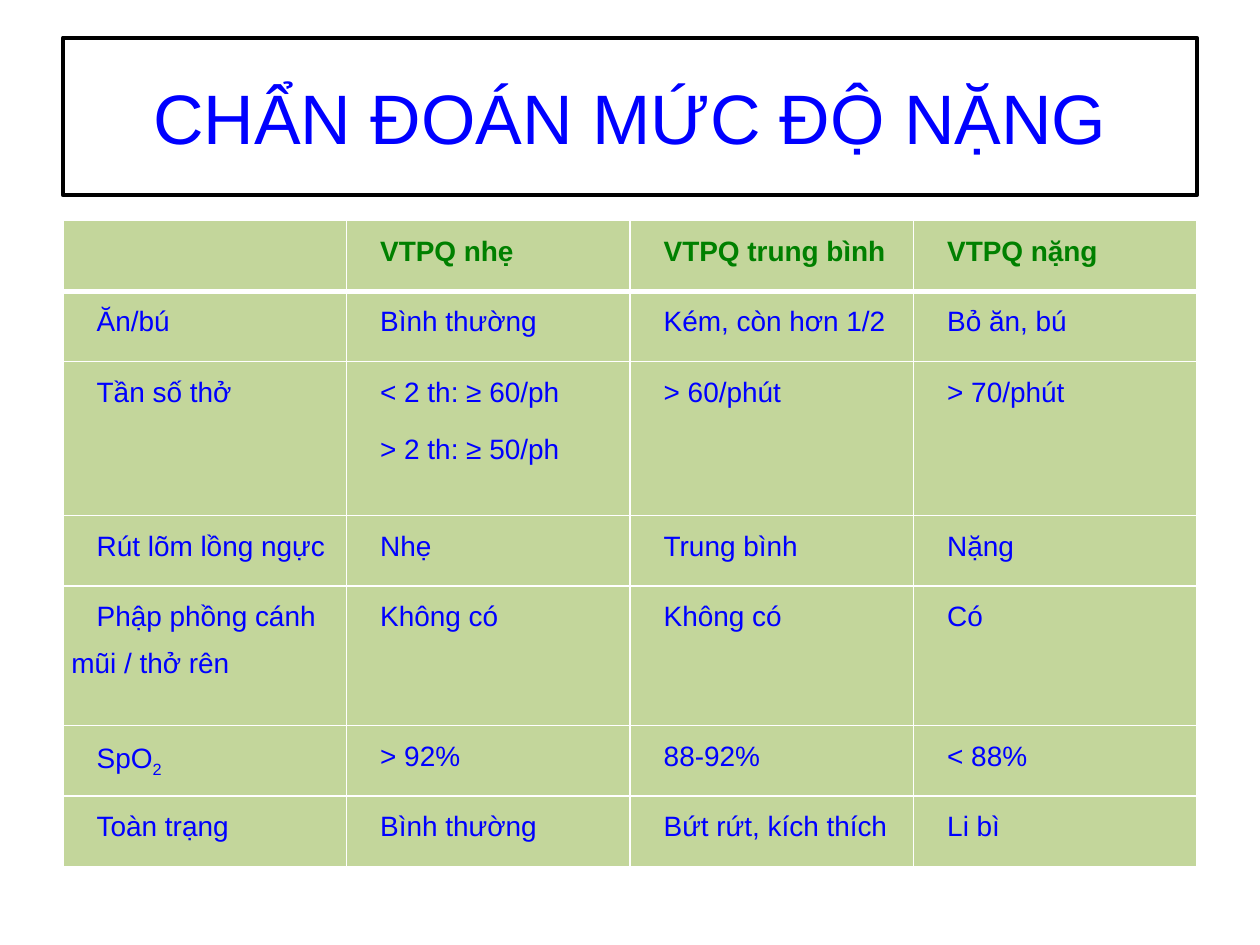
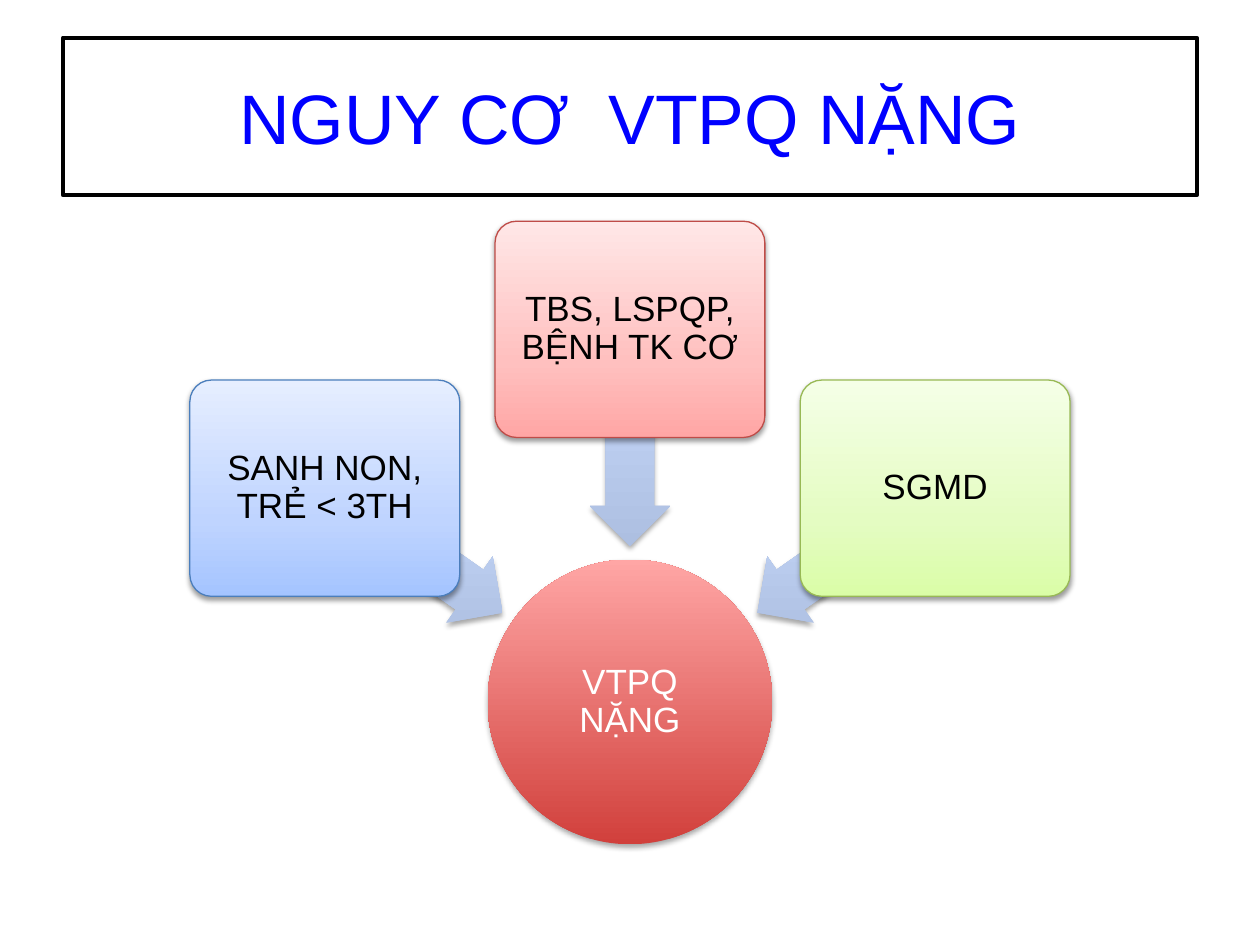
import math
from dataclasses import dataclass

import pptx
import pptx.util
import pptx.dml.color
import pptx.enum.shapes
import pptx.enum.text
import pptx.oxml
import pptx.oxml.ns
from pptx.util import Cm

SEVERITY_TITLE = "CHẨN ĐOÁN MỨC ĐỘ NẶNG"
SEVERITY_ROWS = [
    (1.42, ["", "VTPQ nhẹ", "VTPQ trung bình", "VTPQ nặng"]),
    (1.42, ["Ăn/bú", "Bình thường", "Kém, còn hơn 1/2", "Bỏ ăn, bú"]),
    (3.1, ["Tần số thở", "< 2 th: ≥ 60/ph\n> 2 th: ≥ 50/ph", "> 60/phút", "> 70/phút"]),
    (1.42, ["Rút lõm lồng ngực", "Nhẹ", "Trung bình", "Nặng"]),
    (2.82, ["Phập phồng cánh mũi / thở rên", "Không có", "Không có", "Có"]),
    (1.42, ["SpO_2", "> 92%", "88-92%", "< 88%"]),
    (1.42, ["Toàn trạng", "Bình thường", "Bứt rứt, kích thích", "Li bì"]),
]

RISK_TITLE = "NGUY CƠ  VTPQ NẶNG"
RISK_OUTCOME = "VTPQ NẶNG"
RISK_FACTORS = [
    ("SANH NON, TRẺ < 3TH", 215, "blue"),
    ("TBS, LSPQP, BỆNH TK CƠ", 270, "red"),
    ("SGMD", 325, "green"),
]


@dataclass(frozen=True)
class Theme:
    font: str = "Arial"
    title_size: int = 40
    table_size: int = 16
    diagram_size: int = 20
    black: str = "000000"
    white: str = "FFFFFF"
    blue: str = "0000FF"
    header: str = "008000"
    cell: str = "C3D69B"
    outcome: tuple = ((0, "D1403C"), (100, "FFA6A5"))
    arrow: tuple = ((0, "ADBFE1"), (100, "CCDDFF"))


THEME = Theme()
CARD_STYLES = {
    "blue": ("4B7EBC", ((0, "A4C4FF"), (35, "BFD4FF"), (100, "E6EEFF"))),
    "red": ("BF4C48", ((0, "FFA6A5"), (35, "FFC0BF"), (100, "FFE7E7"))),
    "green": ("98B955", ((0, "DAFDA7"), (35, "E4FCC2"), (100, "F5FFE7"))),
}

SHAPES = pptx.enum.shapes.MSO_SHAPE
MARGIN, CONTENT_TOP, CONTENT_WIDTH = 1.27, 4.45, 22.86
CENTER_X, CENTER_Y = 12.7, 14.15
CIRCLE_SIZE = (5.74, 5.74)
CARD_SIZE, CARD_RADIUS = (5.44, 4.36), 7.51
ARROW_SIZE, ARROW_RADIUS = (4.39, 1.63), 5.33


def rgb(value):
    return pptx.dml.color.RGBColor.from_string(value)


def apply_format(target, values):
    for name, value in values.items():
        setattr(target, name, value)


def add_run(paragraph, text, size, color, bold=False):
    run = paragraph.add_run()
    run.text = text
    apply_format(run.font, {"name": THEME.font, "size": pptx.util.Pt(size), "bold": bold})
    run.font.color.rgb = rgb(color)
    return run


def add_centred_text(shape, text, size, color, margin, spacing):
    frame = shape.text_frame
    sides = ("left", "top", "right", "bottom")
    apply_format(frame, {f"margin_{side}": Cm(margin) for side in sides})
    apply_format(frame, {"word_wrap": True, "vertical_anchor": pptx.enum.text.MSO_ANCHOR.MIDDLE})
    paragraph = frame.paragraphs[0]
    apply_format(paragraph, {"alignment": pptx.enum.text.PP_ALIGN.CENTER, "line_spacing": spacing})
    add_run(paragraph, text, size, color)


def set_line(shape, color, width):
    shape.line.color.rgb = rgb(color)
    shape.line.width = pptx.util.Pt(width)


def add_titled_slide(presentation, title):
    slide = presentation.slides.add_slide(presentation.slide_layouts[6])
    shape = slide.shapes.add_shape(
        SHAPES.RECTANGLE, Cm(MARGIN), Cm(0.76), Cm(CONTENT_WIDTH), Cm(3.18))
    shape.shadow.inherit = False
    shape.fill.background()
    set_line(shape, THEME.black, 2.25)
    add_centred_text(shape, title, THEME.title_size, THEME.blue, 0.25, 1.0)
    return slide


def set_borders(cell, widths):
    properties = cell._tc.get_or_add_tcPr()
    for position, (side, width) in enumerate(widths.items()):
        properties.insert(position, pptx.oxml.parse_xml(
            f'<a:ln{side} {pptx.oxml.ns.nsdecls("a")} w="{pptx.util.Pt(width)}">'
            f'<a:solidFill><a:srgbClr val="{THEME.white}"/></a:solidFill></a:ln{side}>'))


def fill_cell(cell, text, color, bold):
    apply_format(cell, {"margin_left": Cm(0.17), "margin_right": Cm(0.17),
                        "margin_top": 0, "margin_bottom": 0})
    cell.fill.solid()
    cell.fill.fore_color.rgb = rgb(THEME.cell)
    for number, line in enumerate(text.split("\n") if text else []):
        paragraph = cell.text_frame.add_paragraph() if number else cell.text_frame.paragraphs[0]
        paragraph.line_spacing = 1.5
        if number:
            paragraph.space_before = pptx.util.Pt(6)
        paragraph._p.get_or_add_pPr().set("indent", str(Cm(0.51)))
        base, _, subscript = line.partition("_")
        add_run(paragraph, base, THEME.table_size, color, bold)
        if subscript:
            run = add_run(paragraph, subscript, THEME.table_size, color, bold)
            run._r.get_or_add_rPr().set("baseline", "-25000")


def add_severity_table(slide):
    columns = len(SEVERITY_ROWS[0][1])
    height = sum(row_height for row_height, _ in SEVERITY_ROWS)
    table = slide.shapes.add_table(
        len(SEVERITY_ROWS), columns, Cm(MARGIN), Cm(CONTENT_TOP),
        Cm(CONTENT_WIDTH), Cm(height)).table
    apply_format(table, {"first_row": False, "horz_banding": False})
    for column in table.columns:
        column.width = Cm(CONTENT_WIDTH / columns)
    for row_number, (row_height, texts) in enumerate(SEVERITY_ROWS):
        table.rows[row_number].height = Cm(row_height)
        is_header = row_number == 0
        color = THEME.header if is_header else THEME.blue
        widths = {"L": 1, "R": 1, "T": 3 if row_number == 1 else 1, "B": 3 if is_header else 1}
        for column_number, text in enumerate(texts):
            cell = table.cell(row_number, column_number)
            fill_cell(cell, text, color, is_header)
            set_borders(cell, widths)


def add_diagram_shape(slide, kind, size, angle, radius, stops, shadow):
    width, height = size
    left = CENTER_X + radius * math.cos(math.radians(angle)) - width / 2
    top = CENTER_Y + radius * math.sin(math.radians(angle)) - height / 2
    shape = slide.shapes.add_shape(kind, Cm(left), Cm(top), Cm(width), Cm(height))
    shape.line.fill.background()
    shape.fill.gradient()
    shape.fill.gradient_angle = 90
    shape.shadow.inherit = False
    properties = shape.element.spPr
    gradient = properties.find(pptx.oxml.ns.qn("a:gradFill"))
    gradient.set("rotWithShape", "0")
    stop_list = gradient.find(pptx.oxml.ns.qn("a:gsLst"))
    for stop in list(stop_list):
        stop_list.remove(stop)
    namespace = pptx.oxml.ns.nsdecls("a")
    for position, color in stops:
        stop_list.append(pptx.oxml.parse_xml(
            f'<a:gs {namespace} pos="{position * 1000}"><a:srgbClr val="{color}"/></a:gs>'))
    opacity, distance = shadow
    properties.find(pptx.oxml.ns.qn("a:effectLst")).append(pptx.oxml.parse_xml(
        f'<a:outerShdw {namespace} blurRad="{pptx.util.Pt(3.1)}" '
        f'dist="{pptx.util.Pt(distance)}" dir="5400000" rotWithShape="0">'
        f'<a:srgbClr val="{THEME.black}"><a:alpha val="{opacity * 1000}"/></a:srgbClr>'
        f'</a:outerShdw>'))
    return shape


def add_risk_diagram(slide):
    soft, strong = (35, 1.8), (38, 1.6)
    circle = add_diagram_shape(slide, SHAPES.OVAL, CIRCLE_SIZE, 0, 0, THEME.outcome, soft)
    add_centred_text(circle, RISK_OUTCOME, THEME.diagram_size, THEME.white, 0.03, 0.9)
    for text, angle, style in RISK_FACTORS:
        arrow = add_diagram_shape(
            slide, SHAPES.LEFT_ARROW, ARROW_SIZE, angle, ARROW_RADIUS, THEME.arrow, soft)
        arrow.rotation = angle
        arrow.adjustments[0] = 0.6
        arrow.adjustments[1] = 0.5
        outline, stops = CARD_STYLES[style]
        card = add_diagram_shape(
            slide, SHAPES.ROUNDED_RECTANGLE, CARD_SIZE, angle, CARD_RADIUS, stops, strong)
        card.adjustments[0] = 0.1
        set_line(card, outline, 0.75)
        add_centred_text(card, text, THEME.diagram_size, THEME.black, 0.1, 0.9)


def main():
    presentation = pptx.Presentation()
    apply_format(presentation, {"slide_width": Cm(25.4), "slide_height": Cm(19.05)})
    add_severity_table(add_titled_slide(presentation, SEVERITY_TITLE))
    add_risk_diagram(add_titled_slide(presentation, RISK_TITLE))
    presentation.save("out.pptx")


if __name__ == "__main__":
    main()
